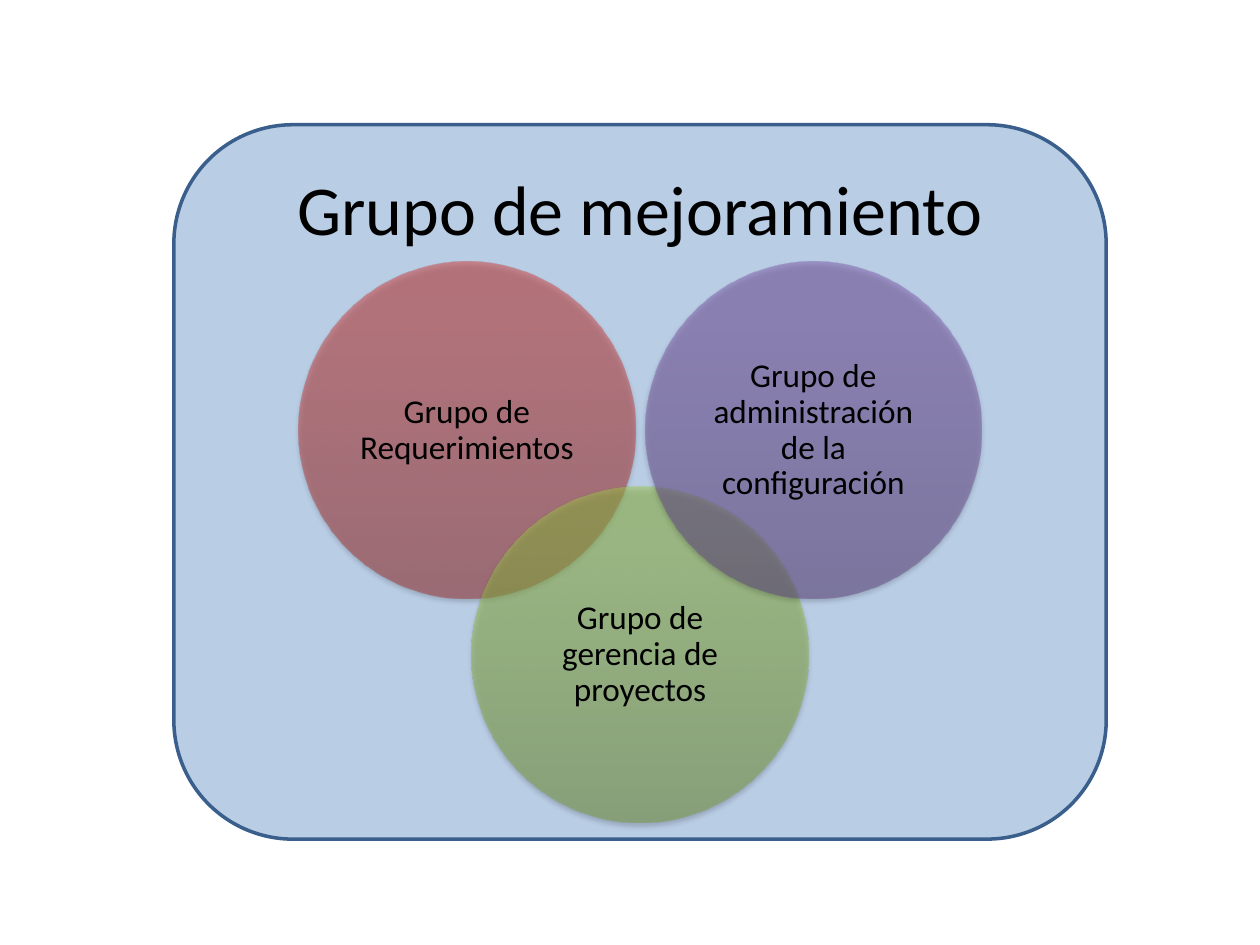
from dataclasses import dataclass

import lxml.etree
import pptx
import pptx.dml.color
import pptx.enum.shapes
import pptx.enum.text
import pptx.oxml
import pptx.oxml.ns
import pptx.shapes.autoshape
import pptx.shapes.group
import pptx.text.text
import pptx.util

Inches = pptx.util.Inches
Pt = pptx.util.Pt
Shape = pptx.enum.shapes.MSO_SHAPE

FONT = "Calibri"
COLORS = {"panel": "B9CDE5", "border": "3A5F8C", "text": "000000", "shadow": "000000"}
GRADIENT_POSITIONS = (0, 80, 100)

DIAMETER = 2.67
LABEL_SIZE = 1.89
LEFT, TOP = 2.37, 2.08
STEP_X, STEP_Y = 1.375, 1.78


@dataclass
class Circle:
    label: str
    column: int
    row: int
    gradient: tuple[str, str, str]


CIRCLES = [
    Circle("Grupo de Requerimientos", 0, 0, ("9C2F2D", "CB3E3A", "CE3B37")),
    Circle("Grupo de gerencia de proyectos", 1, 1, ("779737", "9BC348", "9DC746")),
    Circle("Grupo de administración de la configuración", 2, 0,
           ("5F4480", "7B58A6", "7C57A8")),
]


def rgb(name: str) -> pptx.dml.color.RGBColor:
    return pptx.dml.color.RGBColor.from_string(COLORS[name])


def write_centered(text_frame: pptx.text.text.TextFrame, text: str, size: float) -> None:
    text_frame.text = text
    text_frame.word_wrap = True
    paragraph = text_frame.paragraphs[0]
    paragraph.alignment = pptx.enum.text.PP_ALIGN.CENTER
    font = paragraph.runs[0].font
    font.name = FONT
    font.size = Pt(size)
    font.color.rgb = rgb("text")


def apply_gradient(shape: pptx.shapes.autoshape.Shape, colors: tuple[str, str, str]) -> None:
    """Fill with a half-transparent gradient that runs from bottom to top."""
    stops = "".join(
        f'<a:gs pos="{position * 1000}"><a:srgbClr val="{color}">'
        '<a:alpha val="50000"/></a:srgbClr></a:gs>'
        for position, color in zip(GRADIENT_POSITIONS, colors))
    gradient = pptx.oxml.parse_xml(
        f'<a:gradFill {pptx.oxml.ns.nsdecls("a")} rotWithShape="1">'
        f'<a:gsLst>{stops}</a:gsLst><a:lin ang="16200000" scaled="0"/></a:gradFill>')
    geometry = shape.element.spPr.find(pptx.oxml.ns.qn("a:prstGeom"))
    geometry.addnext(gradient)


def apply_shadow(shape: pptx.shapes.autoshape.Shape) -> None:
    shape.shadow.inherit = False
    effects = shape.element.spPr.find(pptx.oxml.ns.qn("a:effectLst"))
    effects.append(pptx.oxml.parse_xml(
        f'<a:outerShdw {pptx.oxml.ns.nsdecls("a")} blurRad="{Pt(3.1)}" dist="{Pt(1.8)}" '
        f'dir="5400000" rotWithShape="0"><a:srgbClr val="{COLORS["shadow"]}">'
        '<a:alpha val="35000"/></a:srgbClr></a:outerShdw>'))


def draw_circle(group: pptx.shapes.group.GroupShape, circle: Circle) -> None:
    left = LEFT + circle.column * STEP_X
    top = TOP + circle.row * STEP_Y
    shape = group.shapes.add_shape(
        Shape.OVAL, Inches(left), Inches(top), Inches(DIAMETER), Inches(DIAMETER))
    apply_gradient(shape, circle.gradient)
    shape.line.fill.background()
    apply_shadow(shape)

    # Label centred in the circle
    inset = (DIAMETER - LABEL_SIZE) / 2
    label = group.shapes.add_textbox(
        Inches(left + inset), Inches(top + inset), Inches(LABEL_SIZE), Inches(LABEL_SIZE))
    text_frame = label.text_frame
    write_centered(text_frame, circle.label, 19)
    text_frame.vertical_anchor = pptx.enum.text.MSO_ANCHOR.MIDDLE
    text_frame.margin_left = text_frame.margin_right = Inches(0.08)
    text_frame.margin_top = text_frame.margin_bottom = Inches(0.08)
    text_frame.paragraphs[0].line_spacing = 0.9
    text_frame.paragraphs[0].space_after = Pt(6.65)


def main() -> None:
    presentation = pptx.Presentation()
    presentation.slide_width = Inches(10)
    presentation.slide_height = Inches(7.5)
    slide = presentation.slides.add_slide(presentation.slide_layouts[6])

    # Panel with the heading
    panel = slide.shapes.add_shape(
        Shape.ROUNDED_RECTANGLE, Inches(1.38), Inches(0.99), Inches(7.4), Inches(5.67))
    panel.shadow.inherit = False
    panel.fill.solid()
    panel.fill.fore_color.rgb = rgb("panel")
    panel.line.color.rgb = rgb("border")
    panel.line.width = Pt(2)
    write_centered(panel.text_frame, "Grupo de mejoramiento", 40)
    panel.text_frame.vertical_anchor = pptx.enum.text.MSO_ANCHOR.TOP

    # Overlapping circles
    group = slide.shapes.add_group_shape()
    for circle in CIRCLES:
        draw_circle(group, circle)

    presentation.save("out.pptx")


if __name__ == "__main__":
    main()
